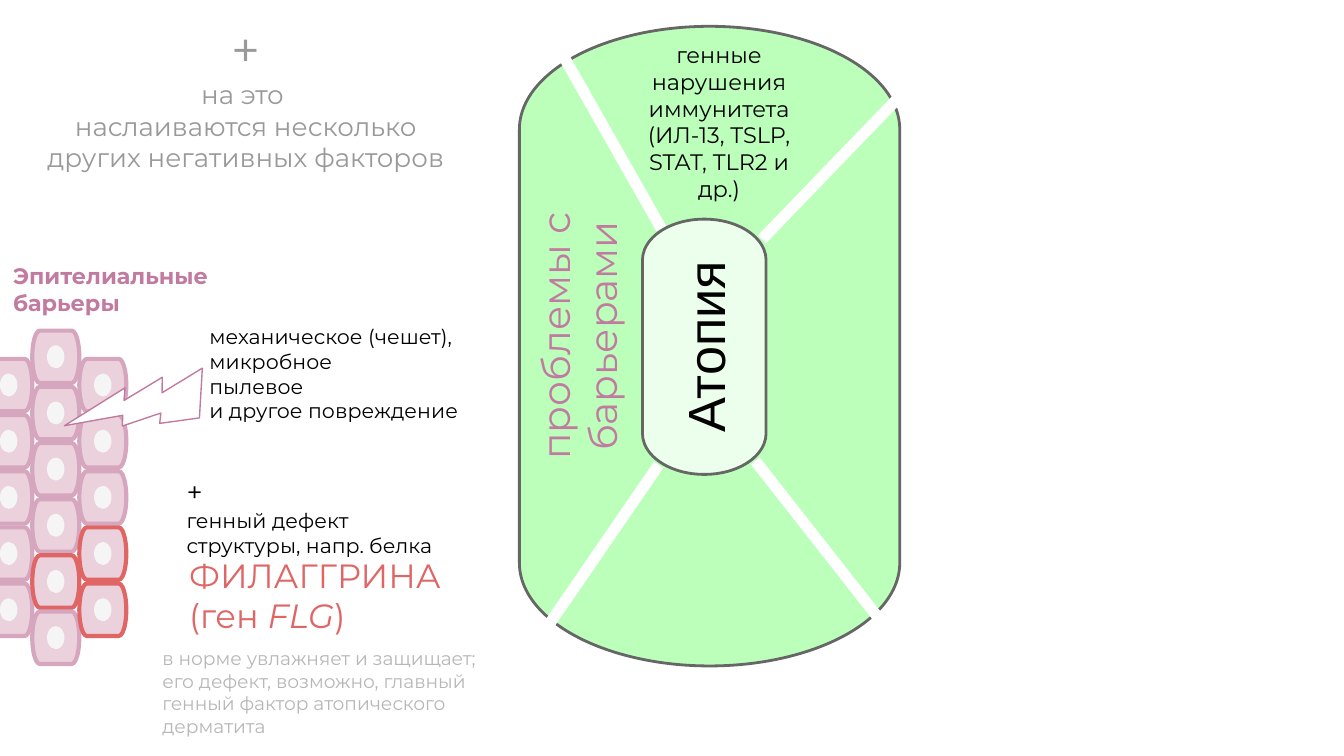
from lxml import etree
from pptx import Presentation
from pptx.dml.color import RGBColor
from pptx.enum import shapes, text
from pptx.oxml import ns
from pptx.util import Inches, Pt

WHITE = RGBColor(0xFF, 0xFF, 0xFF)
BLACK = RGBColor(0x00, 0x00, 0x00)
GREEN = RGBColor(0xBB, 0xFF, 0xBB)
PALE_GREEN = RGBColor(0xEC, 0xFF, 0xEC)
DARK_GRAY = RGBColor(0x66, 0x66, 0x66)
GRAY = RGBColor(0x99, 0x99, 0x99)
LIGHT_GRAY = RGBColor(0xB7, 0xB7, 0xB7)
NUCLEUS = RGBColor(0xF5, 0xF5, 0xF5)
CELL = RGBColor(0xEA, 0xD1, 0xDC)
CELL_EDGE = RGBColor(0xD5, 0xA6, 0xBD)
RED = RGBColor(0xE0, 0x66, 0x66)
MAUVE = RGBColor(0xC2, 0x7B, 0xA0)

FONT = "Montserrat"
CAPSULE = shapes.MSO_SHAPE.FLOWCHART_TERMINATOR
CENTER = text.PP_ALIGN.CENTER
LEFT = text.PP_ALIGN.LEFT
CELL_PITCH = 2.09 / 5


def add_figure(slide, kind, place, fill, edge=None, width=0, rotation=0):
    figure = slide.shapes.add_shape(kind, *map(Inches, place))
    figure.shadow.inherit = False
    figure.rotation = rotation
    figure.fill.solid()
    figure.fill.fore_color.rgb = fill
    if edge is None:
        figure.line.fill.background()
    else:
        figure.line.color.rgb = edge
        figure.line.width = Pt(width)
    return figure


def write(shape, paragraphs, color, align=LEFT, font=FONT, bold=False):
    frame = shape.text_frame
    frame.word_wrap = True
    frame.vertical_anchor = text.MSO_ANCHOR.MIDDLE
    frame.margin_left = frame.margin_right = Inches(0.1)
    frame.margin_top = frame.margin_bottom = Inches(0.1)
    for index, (size, *runs) in enumerate(paragraphs):
        para = frame.add_paragraph() if index else frame.paragraphs[0]
        para.alignment = align
        for words, italic in runs:
            span = para.add_run()
            span.text = words
            span.font.name = font
            span.font.size = Pt(size)
            span.font.color.rgb = color
            span.font.bold = bold
            span.font.italic = italic


def plain(size, *lines):
    return [(size, (line, False)) for line in lines]


def add_label(slide, place, paragraphs, color, align=LEFT, bold=False, rotation=0):
    box = slide.shapes.add_textbox(*map(Inches, place))
    box.rotation = rotation
    write(box, paragraphs, color, align, bold=bold)


def add_divider(slide, *ends):
    divider = slide.shapes.add_connector(
        shapes.MSO_CONNECTOR.STRAIGHT, *map(Inches, ends))
    divider.line.color.rgb = WHITE
    divider.line.width = Pt(6)
    etree.SubElement(divider.element.spPr, ns.qn("a:effectLst"))


def add_cell(slide, left, top, edge):
    add_figure(slide, CAPSULE, (left, top, 0.35, 0.39), CELL, edge, 2.25)
    add_figure(slide, shapes.MSO_SHAPE.OVAL,
               (left + 0.11, top + 0.11, 0.13, 0.17), NUCLEUS)


def add_epithelium(slide):
    columns = [
        (-0.11, 2.67, range(5), ()),
        (0.24, 2.46, range(1, 6), (4,)),
        (0.59, 2.67, range(5), (3, 4)),
        (0.24, 2.46, range(1), ()),
    ]
    for left, top, rows, defective in columns:
        for row in rows:
            edge = RED if row in defective else CELL_EDGE
            add_cell(slide, left, top + row * CELL_PITCH, edge)
    add_figure(slide, shapes.MSO_SHAPE.LIGHTNING_BOLT,
               (0.63, 2.56, 0.86, 0.86), WHITE, MAUVE, 0.75, 118)


def add_atopy_wheel(slide):
    add_figure(slide, CAPSULE, (2.9, 1.16, 4.76, 2.83), GREEN, DARK_GRAY, 1.5, 270)
    core = add_figure(slide, CAPSULE, (4.29, 2.12, 1.9, 0.92),
                      PALE_GREEN, DARK_GRAY, 1.5, 270)
    write(core, plain(28, "Атопия"), BLACK, CENTER, "Arial")
    add_divider(slide, 5.67, 1.78, 6.76, 0.65)
    add_divider(slide, 5.62, 3.43, 6.64, 4.73)
    add_divider(slide, 3.76, 5.12, 4.9, 3.46)
    add_divider(slide, 4.12, 0.29, 4.92, 1.7)
    add_label(slide, (4.59, 0.29, 1.52, 1.23),
              plain(12, "генные нарушения иммунитета (ИЛ-13, TSLP, STAT, TLR2 и др.)"),
              BLACK, CENTER)


def add_factor_labels(slide):
    add_label(slide, (0.13, -0.01, 3.4, 1.44),
              plain(27, "+") + plain(14, "на это ",
                                     "наслаиваются несколько других негативных факторов"),
              GRAY, CENTER)


def add_barrier_labels(slide):
    add_label(slide, (2.98, 2.09, 2.64, 0.82), plain(21, "проблемы с барьерами"),
              MAUVE, CENTER, rotation=270)
    add_label(slide, (1.46, 2.38, 2.14, 0.8),
              plain(11, "механическое (чешет),", "микробное", "пылевое",
                    "и другое повреждение"), BLACK)
    add_label(slide, (1.29, 3.44, 2.14, 0.8),
              plain(15, "+") + plain(11, "генный дефект структуры, напр. белка"), BLACK)
    add_label(slide, (0, 1.75, 2.14, 0.8), plain(12, "Эпителиальные барьеры"),
              MAUVE, bold=True)
    add_label(slide, (1.31, 4.03, 2.14, 0.8),
              [(18, ("ФИЛАГГРИНА (ген ", False), ("FLG", True), (")", False))], RED)
    add_label(slide, (1.11, 4.75, 2.61, 0.8),
              plain(10, "в норме увлажняет и защищает;",
                    "его дефект, возможно, главный генный фактор атопического дерматита"),
              LIGHT_GRAY)


def main():
    deck = Presentation()
    deck.slide_width = Inches(10)
    deck.slide_height = deck.slide_width * 9 // 16
    slide = deck.slides.add_slide(deck.slide_layouts[6])
    add_atopy_wheel(slide)
    add_factor_labels(slide)
    add_epithelium(slide)
    add_barrier_labels(slide)
    deck.save("out.pptx")


if __name__ == "__main__":
    main()
